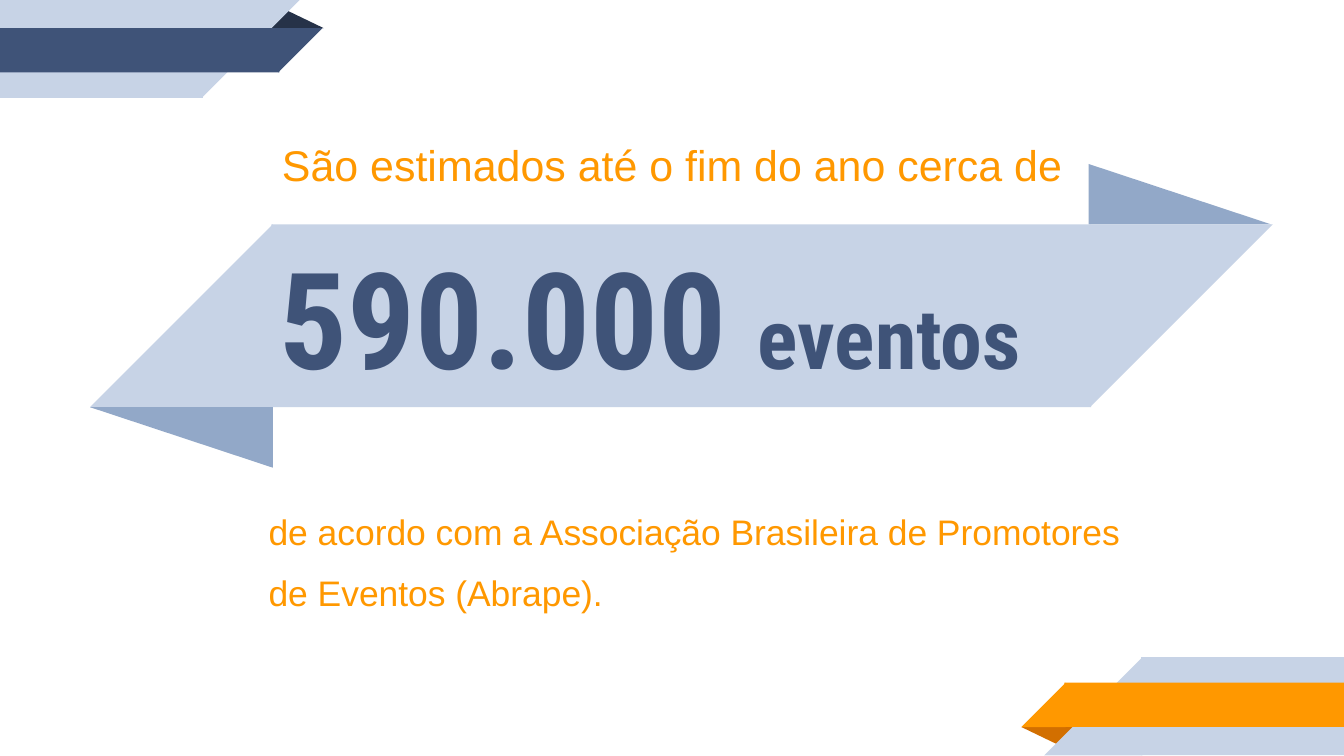
import pptx
import pptx.util
import pptx.dml.color
import pptx.enum.shapes
import pptx.enum.text

Inches = pptx.util.Inches
RGBColor = pptx.dml.color.RGBColor
Kind = pptx.enum.shapes.MSO_SHAPE
Align = pptx.enum.text.PP_ALIGN
Anchor = pptx.enum.text.MSO_ANCHOR

PALE = RGBColor(0xC7, 0xD3, 0xE6)
STEEL = RGBColor(0x92, 0xA8, 0xC8)
NAVY = RGBColor(0x3F, 0x53, 0x78)
DARK = RGBColor(0x26, 0x32, 0x48)
ORANGE = RGBColor(0xFF, 0x98, 0x00)
RUST = RGBColor(0xD2, 0x6F, 0x00)

RECT, CORNER, FOLD = Kind.RECTANGLE, Kind.RIGHT_TRIANGLE, Kind.ISOSCELES_TRIANGLE


def add_text(para, text, **font_format):
    span = para.add_run()
    span.text = text
    color = font_format.pop("color")
    for name, value in font_format.items():
        setattr(span.font, name, value)
    span.font.color.rgb = color


deck = pptx.Presentation()
deck.slide_width = Inches(10)
deck.slide_height = deck.slide_width * 9 // 16
page = deck.slides.add_slide(deck.slide_layouts[5])

top_left = [
    (FOLD, 1.98, 0.07, 0.43, 0.14, 0, DARK, 0.324),
    (RECT, 0, 0, 1.51, 0.73, 0, PALE, None),
    (CORNER, 1.5, 0, 0.73, 0.73, 90, PALE, None),
    (RECT, 0, 0.21, 2.08, 0.33, 0, NAVY, None),
    (CORNER, 2.07, 0.21, 0.33, 0.33, 90, NAVY, None),
]
bottom_right = [
    (FOLD, 7.6, 5.41, 0.43, 0.14, 180, RUST, 0.324),
    (RECT, 8.49, 4.89, 1.51, 0.73, 0, PALE, None),
    (CORNER, 7.77, 4.89, 0.73, 0.73, 270, PALE, None),
    (RECT, 7.92, 5.08, 2.08, 0.33, 0, ORANGE, None),
    (CORNER, 7.6, 5.08, 0.33, 0.33, 270, ORANGE, None),
]
banner = [
    (FOLD, 8.1, 1.22, 1.36, 0.45, 0, STEEL, 0),
    (RECT, 2.02, 1.67, 6.1, 1.36, 0, PALE, None),
    (CORNER, 8.11, 1.67, 1.36, 1.36, 90, PALE, None),
    (CORNER, 0.67, 1.67, 1.36, 1.36, 270, PALE, None),
    (FOLD, 0.67, 3.03, 1.36, 0.45, 180, STEEL, 0),
]
for ribbon in (top_left, bottom_right, banner):
    group = page.shapes.add_group_shape()
    for kind, left, top, width, height, turn, color, apex in ribbon:
        piece = group.shapes.add_shape(
            kind, Inches(left), Inches(top), Inches(width), Inches(height))
        piece.rotation = turn
        piece.shadow.inherit = False
        piece.fill.solid()
        piece.fill.fore_color.rgb = color
        piece.line.fill.background()
        if apex is not None:
            piece.adjustments[0] = apex

title = page.shapes.title
page.shapes._spTree.append(title._element)
title_place = {"left": 0.56, "top": 1.68, "width": 8.79, "height": 1.34}
for name, value in title_place.items():
    setattr(title, name, Inches(value))
title_frame = title.text_frame
title_frame.vertical_anchor = Anchor.MIDDLE
title_frame.auto_size = pptx.enum.text.MSO_AUTO_SIZE.NONE
title_para = title_frame.paragraphs[0]
title_para.alignment = Align.CENTER
for text, size in (("590.000 ", 72), ("eventos", 45), (" ", 72)):
    add_text(title_para, text, name="Roboto Condensed", bold=True,
             size=pptx.util.Pt(size), color=NAVY)

captions = [
    ("de acordo com a Associação Brasileira de Promotores de Eventos (Abrape).",
     1.9, 3.56, 6.62, 1.1, 19),
    ("São estimados até o fim do ano cerca de", 2, 0.77, 6.14, 0.74, 23),
]
frames = [title_frame]
for text, left, top, width, height, size in captions:
    box = page.shapes.add_textbox(
        Inches(left), Inches(top), Inches(width), Inches(height))
    box.text_frame.vertical_anchor = Anchor.TOP
    para = box.text_frame.paragraphs[0]
    para.line_spacing = 1.43
    add_text(para, text, name="Arial", size=pptx.util.Pt(size), color=ORANGE)
    frames.append(box.text_frame)

for frame in frames:
    frame.word_wrap = True
    for side in ("left", "top", "right", "bottom"):
        setattr(frame, f"margin_{side}", Inches(0.1))

deck.save("out.pptx")
